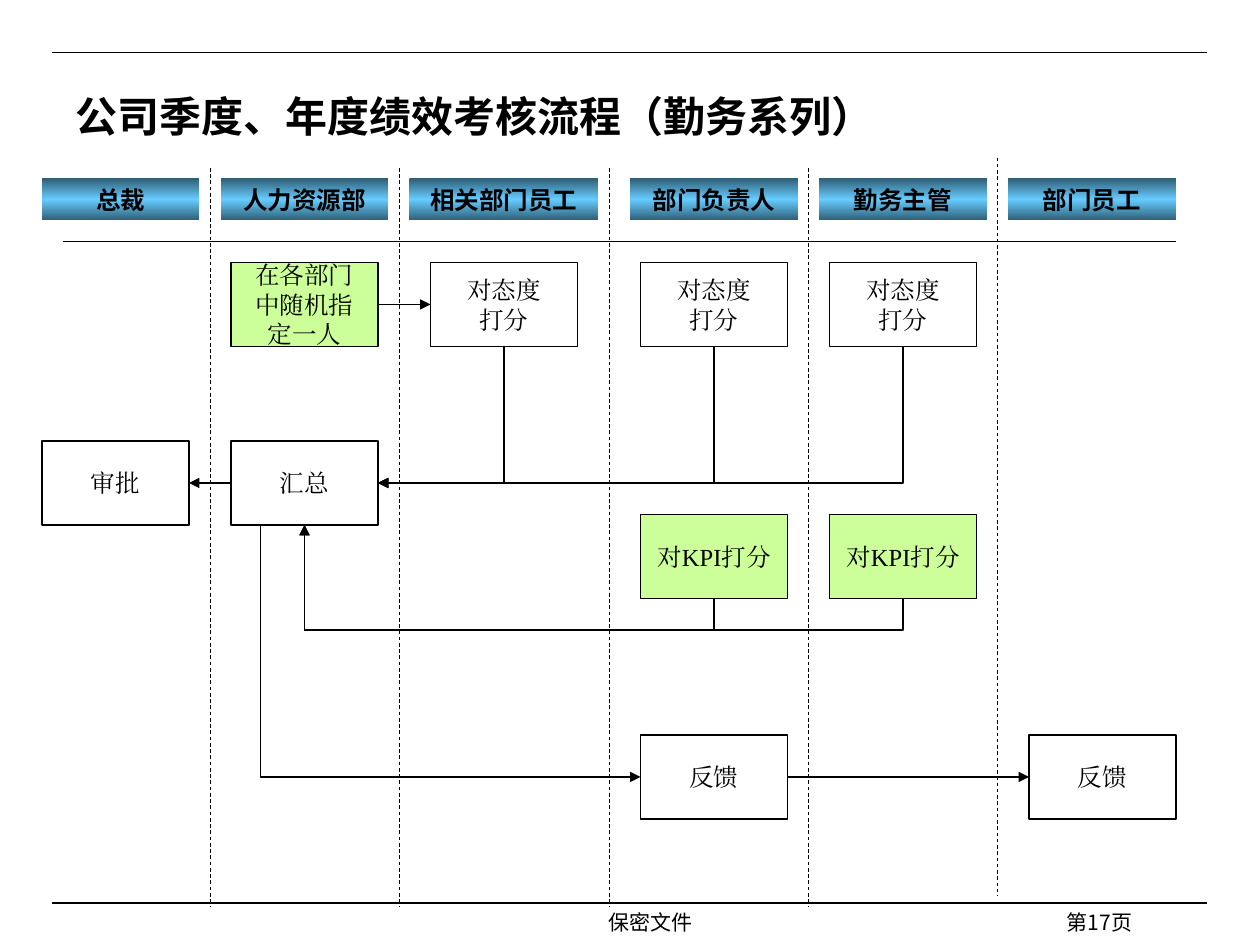
from copy import deepcopy

from lxml.etree import SubElement
from pptx import Presentation
from pptx.dml.color import RGBColor
from pptx.enum.dml import MSO_LINE
from pptx.enum.shapes import MSO_CONNECTOR, MSO_SHAPE
from pptx.enum.text import MSO_ANCHOR, PP_ALIGN
from pptx.oxml.ns import qn
from pptx.util import Pt

SERIF = "Times New Roman"
SANS = "Noto Sans CJK SC"
BLACK, GREEN, TEAL, SKY = "000000", "CCFF99", "2F5E75", "66CCFF"
NODE_WIDTH, NODE_HEIGHT = 84, 48


def color(value):
    return RGBColor.from_string(value)


def write(shape, lines, size, font, east_font, bold=False,
          align=PP_ALIGN.CENTER, anchor=MSO_ANCHOR.MIDDLE):
    frame = shape.text_frame
    frame.word_wrap = True
    frame.vertical_anchor = anchor
    for index, line in enumerate(lines):
        paragraph = frame.add_paragraph() if index else frame.paragraphs[0]
        paragraph.alignment = align
        run = paragraph.add_run()
        run.text = line
        run.font.size = Pt(size)
        run.font.name = font
        run.font.bold = bold
        run.font.color.rgb = color(BLACK)
        SubElement(run.font._element, qn("a:ea"), typeface=east_font)


def add_label(slide, box, text, size, **style):
    label = slide.shapes.add_textbox(*map(Pt, box))
    write(label, [text], size, style.pop("font", SANS), SANS, **style)


def add_rectangle(slide, box):
    shape = slide.shapes.add_shape(MSO_SHAPE.RECTANGLE, *map(Pt, box))
    shape.shadow.inherit = False
    return shape


def add_line(slide, start, end, width=0.75, dashed=False, arrow=False,
             kind=MSO_CONNECTOR.STRAIGHT):
    connector = slide.shapes.add_connector(kind, *map(Pt, (*start, *end)))
    connector.line.width = Pt(width)
    connector.line.color.rgb = color(BLACK)
    if dashed:
        connector.line.dash_style = MSO_LINE.DASH
    if arrow:
        SubElement(connector.line._get_or_add_ln(), qn("a:tailEnd"), type="triangle")
    SubElement(connector.element.spPr, qn("a:effectLst"))
    return connector


def add_elbow(slide, start, end, preset, turn=0, flip=False, bend=None):
    """Bent arrow; a quarter turn swaps the sides of its frame about the centre."""
    center_x, center_y = (start[0] + end[0]) / 2, (start[1] + end[1]) / 2
    width, height = abs(end[0] - start[0]), abs(end[1] - start[1])
    if turn in (90, 270):
        width, height = height, width
    left, top = center_x - width / 2, center_y - height / 2
    connector = add_line(slide, (left, top), (left + width, top + height),
                         arrow=True, kind=MSO_CONNECTOR.ELBOW)
    transform = connector.element.spPr.find(qn("a:xfrm"))
    transform.set("rot", str(turn * 60000))
    if flip:
        transform.set("flipV", "1")
    geometry = connector.element.spPr.find(qn("a:prstGeom"))
    geometry.set("prst", preset)
    if bend is not None:
        guides = geometry.find(qn("a:avLst"))
        SubElement(guides, qn("a:gd"), name="adj1",
                   fmla=f"val {round(bend / width * 100000)}")


def build_frame(slide, box):
    """Rules, title and footer."""
    left, top, width, height = box
    for y in (top, top + height):
        add_line(slide, (left, y), (left + width, y))
    add_label(slide, (left + 6, top + 12, 642, 48), "公司季度、年度绩效考核流程（勤务系列）",
              24, font=SERIF, bold=True, align=PP_ALIGN.LEFT)
    footer = top + height
    add_label(slide, (left + 180, footer, 324, 18), "保密文件", 12, anchor=MSO_ANCHOR.TOP)
    add_label(slide, (left + 474, footer, 150, 12), "第17页", 12,
              align=PP_ALIGN.RIGHT, anchor=MSO_ANCHOR.TOP)


def build_lanes(slide, box):
    """Lane headings, the rule below them and the dashed dividers."""
    left, top, width, height = box
    lanes = [("总裁", 0, 90), ("人力资源部", 102, 96), ("相关部门员工", 210, 108),
             ("部门负责人", 336, 96), ("勤务主管", 444, 96), ("部门员工", 552, 96)]
    for name, offset, lane_width in lanes:
        heading = add_rectangle(slide, (left + offset, top + 6, lane_width, 24))
        heading.line.fill.background()
        heading.fill.gradient()
        heading.fill.gradient_angle = 90
        stops = heading.fill._fill._gradFill.find(qn("a:gsLst"))
        stops.insert(1, deepcopy(stops[0]))
        for stop, position, tint in zip(heading.fill.gradient_stops,
                                        (0, 0.5, 1), (TEAL, SKY, TEAL)):
            stop.position = position
            stop.color.rgb = color(tint)
        write(heading, [name], 14, SANS, SANS, bold=True)
    add_line(slide, (left + 12, top + 42), (left + width, top + 42))
    for offset, rise in ((96, 0), (204, 0), (324, 0), (438, 0), (546, 6)):
        x, y = left + offset, top - rise
        add_line(slide, (x, y), (x, y + height), width=0.5, dashed=True)


def build_flow(slide, box):
    """Steps in lane columns, then the arrows between them."""
    left, top, _, _ = box
    president, personnel, staff, head, supervisor, member = (
        left + offset for offset in (0, 108, 222, 342, 450, 564))
    rate, collect, kpi, feedback = (top + offset for offset in (0, 102, 144, 270))
    attitude = ["对态度", "打分"]
    steps = [
        (personnel, rate, ["在各部门中随机指定一人"], GREEN),
        (staff, rate, attitude, None),
        (head, rate, attitude, None),
        (supervisor, rate, attitude, None),
        (president, collect, ["审批"], None),
        (personnel, collect, ["汇总"], None),
        (head, kpi, ["对KPI打分"], GREEN),
        (supervisor, kpi, ["对KPI打分"], GREEN),
        (head, feedback, ["反馈"], None),
        (member, feedback, ["反馈"], None),
    ]
    for x, y, lines, fill in steps:
        step = add_rectangle(slide, (x, y, NODE_WIDTH, NODE_HEIGHT))
        step.line.width = Pt(0.75)
        step.line.color.rgb = color(BLACK)
        if fill:
            step.fill.solid()
            step.fill.fore_color.rgb = color(fill)
        else:
            step.fill.background()
        write(step, lines, 14, SERIF, SERIF)

    middle_x, middle_y = NODE_WIDTH / 2, NODE_HEIGHT / 2
    # Straight arrows
    for source, target, y in ((personnel + NODE_WIDTH, staff, rate),
                              (personnel, president + NODE_WIDTH, collect),
                              (head + NODE_WIDTH, member, feedback)):
        add_line(slide, (source, y + middle_y), (target, y + middle_y), arrow=True)
    # Attitude scores into the summary
    for x in (staff, head, supervisor):
        add_elbow(slide, (x + middle_x, rate + NODE_HEIGHT),
                  (personnel + NODE_WIDTH, collect + middle_y),
                  "bentConnector2", turn=90)
    # KPI scores into the summary
    for x in (head, supervisor):
        add_elbow(slide, (x + middle_x, kpi + NODE_HEIGHT),
                  (personnel + middle_x, collect + NODE_HEIGHT),
                  "bentConnector3", turn=270, flip=True, bend=-18)
    # Summary to feedback
    add_elbow(slide, (personnel + 18, collect + NODE_HEIGHT),
              (head, feedback + middle_y), "bentConnector3", bend=-1)


def main():
    presentation = Presentation()
    presentation.slide_width, presentation.slide_height = Pt(720), Pt(540)
    slide = presentation.slides.add_slide(presentation.slide_layouts[6])
    build_frame(slide, (30, 30, 660, 486))
    build_lanes(slide, (24, 96, 648, 422))
    build_flow(slide, (24, 150, 648, 318))
    presentation.save("out.pptx")


if __name__ == "__main__":
    main()
